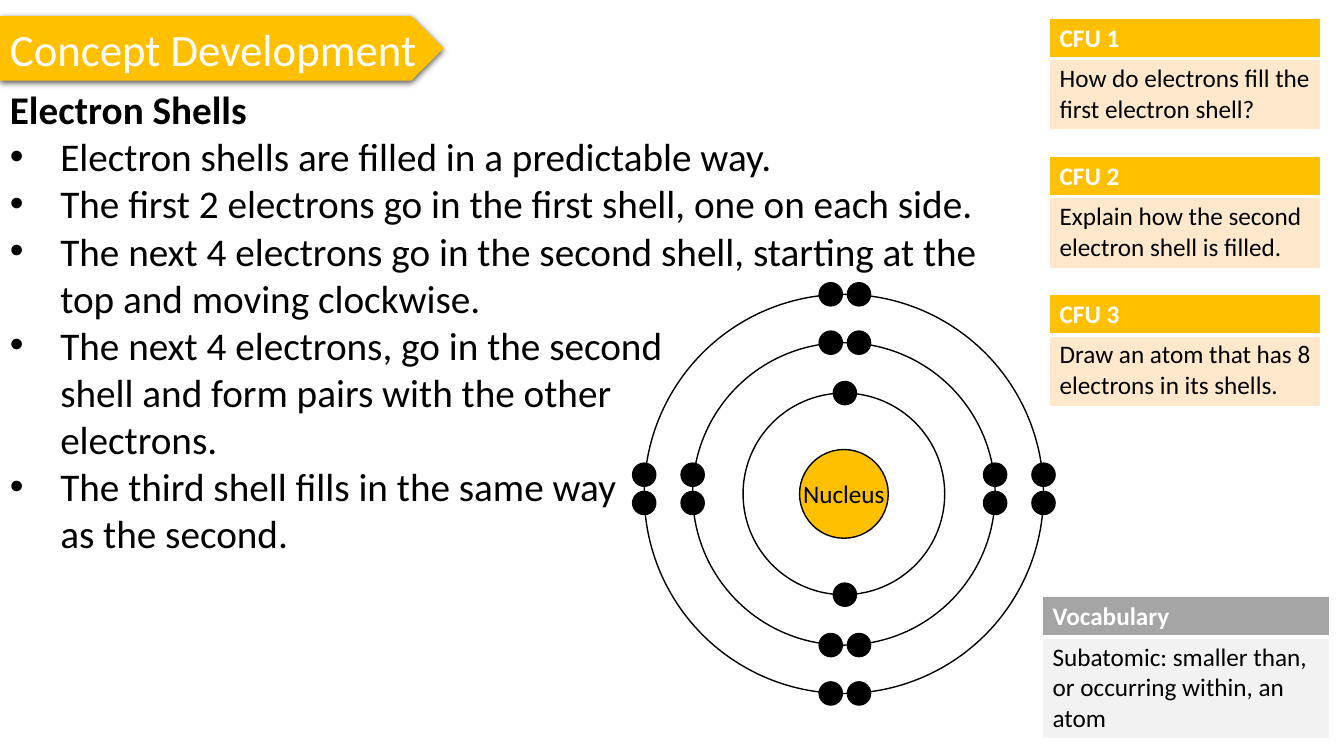
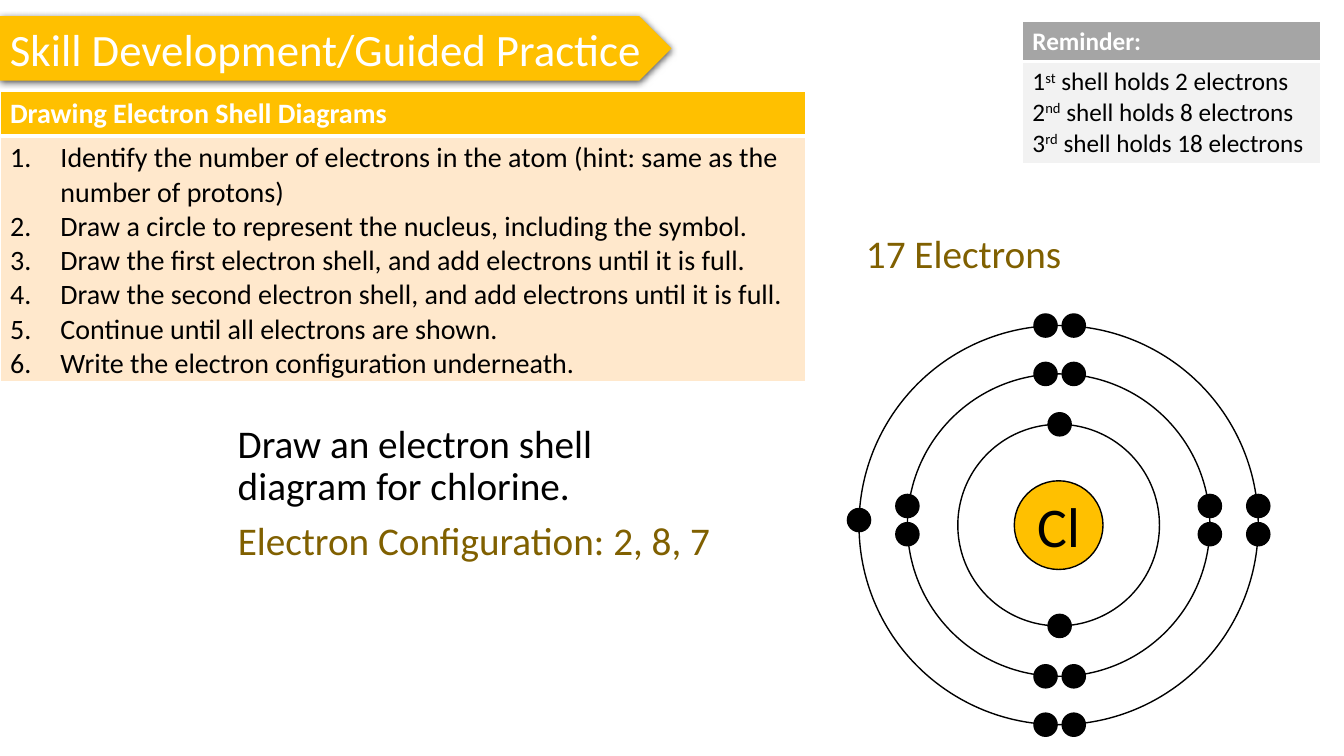
from lxml.etree import SubElement
from pptx import Presentation
from pptx.dml.color import RGBColor
from pptx.enum.shapes import MSO_SHAPE
from pptx.enum.text import MSO_ANCHOR, PP_ALIGN
from pptx.oxml.ns import qn
from pptx.util import Inches, Pt

FONT = "Calibri"
BLACK, WHITE, GOLD, ANSWER = "000000", "FFFFFF", "FFC000", "806000"
GOLD_PANEL = (GOLD, "FFE8CC")
GREY_PANEL = ("A5A5A5", "F2F2F2")
NUCLEUS, ELECTRON = 0.88, 0.23
SHELL_RADII = (1, 1.5, 1.98)
PAIR_OFFSET = 0.14
ELECTRON_SHIFT = (0.01, -0.05)
DIRECTIONS = {"top": (0, -1), "right": (1, 0), "bottom": (0, 1), "left": (-1, 0)}
POLES = {"top": 1, "bottom": 1}
FULL_RING = dict.fromkeys(DIRECTIONS, 2)


def colour(value):
    """Turn a hex string into a colour."""
    return RGBColor.from_string(value)


def add_span(para, text, size, shade, bold=False, superscript=False):
    """Add one styled run to a paragraph."""
    span = para.add_run()
    span.text = text
    span.font.name, span.font.size, span.font.bold = FONT, Pt(size), bold
    span.font.color.rgb = colour(shade)
    if superscript:
        span._r.get_or_add_rPr().set("baseline", "30000")


def add_paragraph(frame, index):
    """Return the first paragraph of a frame or append a new one."""
    return frame.add_paragraph() if index else frame.paragraphs[0]


def set_bullet(para, numbered=False):
    """Give a paragraph a hanging bullet or number."""
    properties = para._p.get_or_add_pPr()
    properties.set("marL", str(Inches(0.5)))
    properties.set("indent", str(Inches(-0.5)))
    if numbered:
        SubElement(properties, qn("a:buFont"), typeface="+mj-lt")
        SubElement(properties, qn("a:buAutoNum"), type="arabicPeriod")
    else:
        SubElement(properties, qn("a:buFont"), typeface="Arial")
        SubElement(properties, qn("a:buChar"), char="•")


def add_box(page, left, top, width, height):
    """Add a wrapping text box and return its frame."""
    box = page.shapes.add_textbox(Inches(left), Inches(top), Inches(width), Inches(height))
    box.text_frame.word_wrap = True
    return box.text_frame


def add_note(page, left, top, width, text, shade=BLACK):
    """Add a free-standing statement."""
    para = add_box(page, left, top, width, 0.86).paragraphs[0]
    para.line_spacing, para.space_after = 0.9, Pt(12)
    add_span(para, text, 28, shade)


def add_lesson(page, heading, points):
    """Add a bold heading followed by bulleted points."""
    frame = add_box(page, 0, 0.8, 10.36, 5.28)
    add_span(frame.paragraphs[0], heading, 28, BLACK, bold=True)
    for point in points:
        para = frame.add_paragraph()
        set_bullet(para)
        for index, line in enumerate(point.split("\n")):
            if index:
                para.add_line_break()
            add_span(para, line, 28, BLACK)


def add_banner(page, width, title):
    """Add the arrow-shaped title band with its shadow."""
    banner = page.shapes.add_shape(
        MSO_SHAPE.PENTAGON, Inches(0), Inches(0.16), Inches(width), Inches(0.64))
    banner.fill.solid()
    banner.fill.fore_color.rgb = colour(GOLD)
    banner.line.fill.background()
    effects = SubElement(banner._element.spPr, qn("a:effectLst"))
    shadow = SubElement(effects, qn("a:outerShdw"), blurRad=str(Pt(4.5)),
                        dist=str(Pt(1.5)), dir="5400000", algn="ctr", rotWithShape="0")
    tint = SubElement(shadow, qn("a:srgbClr"), val=BLACK)
    SubElement(tint, qn("a:alpha"), val="63000")
    frame = banner.text_frame
    frame.word_wrap = False
    frame.vertical_anchor = MSO_ANCHOR.MIDDLE
    frame.paragraphs[0].alignment = PP_ALIGN.LEFT
    add_span(frame.paragraphs[0], title, 32, WHITE)


def style_cell(cell, fill, bottom_width):
    """Give a cell its white borders and its fill."""
    properties = cell._tc.get_or_add_tcPr()
    for side, width in (("L", 1), ("R", 1), ("T", 1), ("B", bottom_width)):
        line = SubElement(properties, qn(f"a:ln{side}"), w=str(Pt(width)))
        SubElement(SubElement(line, qn("a:solidFill")), qn("a:srgbClr"), val=WHITE)
    cell.fill.solid()
    cell.fill.fore_color.rgb = colour(fill)


def add_panel(page, place, header_height, fills, heading, lines, size=18, numbered=False):
    """Add a header-and-body table; every second span of a line is raised."""
    left, top, width, height = place
    table = page.shapes.add_table(
        2, 1, Inches(left), Inches(top), Inches(width), Inches(height)).table
    table.horz_banding = False
    table.rows[0].height = Inches(header_height)
    table.rows[1].height = Inches(height - header_height)
    header, body = table.cell(0, 0), table.cell(1, 0)
    style_cell(header, fills[0], 3)
    style_cell(body, fills[1], 1)
    add_span(header.text_frame.paragraphs[0], heading, size, WHITE, bold=True)
    for index, spans in enumerate(lines):
        para = add_paragraph(body.text_frame, index)
        if numbered:
            set_bullet(para, numbered=True)
        for position, text in enumerate(spans):
            add_span(para, text, size, BLACK, superscript=position % 2 == 1)


def add_circle(page, x, y, diameter, fill=None):
    """Add an outlined circle around a centre point."""
    circle = page.shapes.add_shape(
        MSO_SHAPE.OVAL, Inches(x - diameter / 2), Inches(y - diameter / 2),
        Inches(diameter), Inches(diameter))
    circle.shadow.inherit = False
    circle.line.color.rgb = colour(BLACK)
    circle.line.width = Pt(1)
    if fill:
        circle.fill.solid()
        circle.fill.fore_color.rgb = colour(fill)
    else:
        circle.fill.background()
    return circle


def add_shell(page, x, y, radius, electrons):
    """Add a shell with one or two electrons at each named side."""
    add_circle(page, x, y, radius * 2)
    shift_x, shift_y = ELECTRON_SHIFT
    for side, count in electrons.items():
        across, down = DIRECTIONS[side]
        for offset in (-PAIR_OFFSET, PAIR_OFFSET) if count == 2 else (0,):
            electron_x = x + across * radius + abs(down) * (offset + shift_x)
            electron_y = y + down * radius + abs(across) * (offset + shift_y)
            add_circle(page, electron_x, electron_y, ELECTRON, BLACK)


def add_atom(page, x, y, label, size, shells):
    """Add a labelled nucleus and its electron shells."""
    frame = add_circle(page, x, y, NUCLEUS, GOLD).text_frame
    frame.word_wrap = False
    frame.margin_left = frame.margin_right = frame.margin_top = frame.margin_bottom = 0
    frame.vertical_anchor = MSO_ANCHOR.MIDDLE
    frame.paragraphs[0].alignment = PP_ALIGN.CENTER
    add_span(frame.paragraphs[0], label, size, BLACK)
    for radius, electrons in zip(SHELL_RADII, shells):
        add_shell(page, x, y, radius, electrons)


def build_concept(page):
    """Build the concept development slide."""
    add_banner(page, 4.4, "Concept Development")
    add_lesson(page, "Electron Shells", [
        "Electron shells are filled in a predictable way.",
        "The first 2 electrons go in the first shell, one on each side.",
        "The next 4 electrons go in the second shell, starting at the top and moving clockwise.",
        "The next 4 electrons, go in the second\nshell and form pairs with the other\nelectrons.",
        "The third shell fills in the same way\nas the second.",
    ])
    questions = [
        "How do electrons fill the first electron shell?",
        "Explain how the second electron shell is filled.",
        "Draw an atom that has 8 electrons in its shells.",
    ]
    for index, question in enumerate(questions):
        add_panel(page, (10.41, 0.18 + 1.37 * index, 2.69, 1.1), 0.39, GOLD_PANEL,
                  f"CFU {index + 1}", [(question,)])
    add_panel(page, (10.34, 5.92, 2.85, 1.41), 0.4, GREY_PANEL, "Vocabulary",
              [("Subatomic: smaller than, or occurring within, an atom",)])
    add_atom(page, 8.37, 4.9, "Nucleus", 18, (POLES, FULL_RING, FULL_RING))


def build_practice(page):
    """Build the guided practice slide."""
    add_banner(page, 6.66, "Skill Development/Guided Practice")
    add_note(page, 2.26, 4.16, 4.9, "Draw an electron shell diagram for chlorine.")
    steps = [
        "Identify the number of electrons in the atom (hint: same as the number of protons)",
        "Draw a circle to represent the nucleus, including the symbol.",
        "Draw the first electron shell, and add electrons until it is full.",
        "Draw the second electron shell, and add electrons until it is full.",
        "Continue until all electrons are shown.",
        "Write the electron configuration underneath.",
    ]
    add_panel(page, (0, 0.91, 7.99, 2.87), 0.44, GOLD_PANEL,
              "Drawing Electron Shell Diagrams", [(step,) for step in steps],
              size=20, numbered=True)
    add_panel(page, (10.14, 0.21, 2.96, 1.41), 0.4, GREY_PANEL, "Reminder:", [
        ("1", "st", " shell holds 2 electrons"),
        ("2", "nd", " shell holds 8 electrons"),
        ("3", "rd", " shell holds 18 electrons"),
    ])
    add_atom(page, 10.5, 5.21, "Cl", 40, (POLES, FULL_RING, {**FULL_RING, "left": 1}))
    add_note(page, 2.26, 5.13, 5.29, "Electron Configuration: 2, 8, 7", ANSWER)
    add_note(page, 8.49, 2.28, 4.61, "17 Electrons", ANSWER)


def main():
    """Build and save the deck."""
    deck = Presentation()
    deck.slide_width, deck.slide_height = Inches(13.33), Inches(7.5)
    for build in (build_concept, build_practice):
        build(deck.slides.add_slide(deck.slide_layouts[6]))
    deck.save("out.pptx")


if __name__ == "__main__":
    main()
